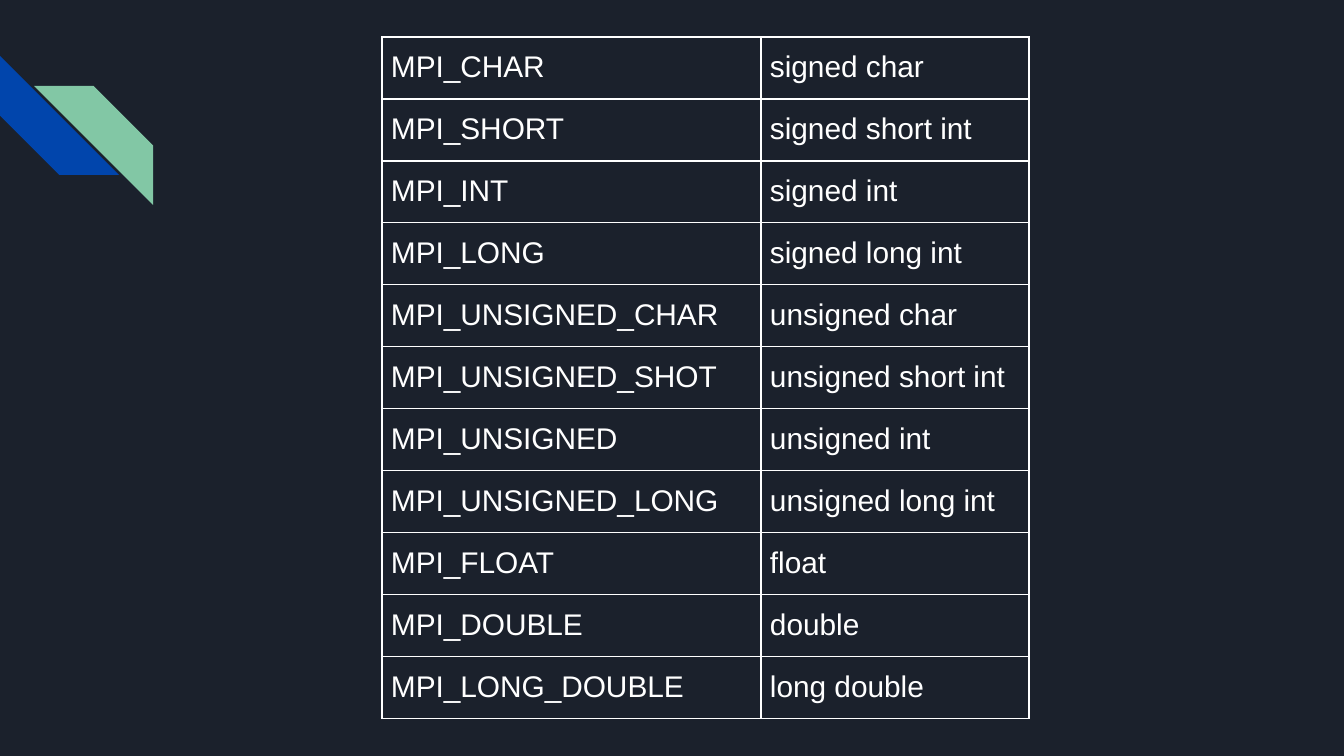
from pptx import Presentation
from pptx import util as u
from pptx.dml.color import RGBColor
from pptx.enum import shapes
from pptx.oxml import parse_xml
from pptx.oxml.ns import nsdecls

PX = 914400 / 134.4
COLORS = {"background": "1B212C", "blue": "0145AC", "green": "82C7A5", "white": "FFFFFF"}
MPI_TYPES = [
    ("MPI_CHAR", "signed char"),
    ("MPI_SHORT", "signed short int"),
    ("MPI_INT", "signed int"),
    ("MPI_LONG", "signed long int"),
    ("MPI_UNSIGNED_CHAR", "unsigned char"),
    ("MPI_UNSIGNED_SHOT", "unsigned short int"),
    ("MPI_UNSIGNED", "unsigned int"),
    ("MPI_UNSIGNED_LONG", "unsigned long int"),
    ("MPI_FLOAT", "float"),
    ("MPI_DOUBLE", "double"),
    ("MPI_LONG_DOUBLE", "long double"),
]


def px(length):
    return u.Emu(round(length * PX))


def color(name):
    return RGBColor.from_string(COLORS[name])


class SlideBuilder:
    font_name = "Arial"
    font_size = u.Pt(16)
    line_spacing = 1.15
    cell_inset = 9
    border_width = u.Pt(0.75)

    def __init__(self, slide):
        self.slide = slide

    def background(self, fill):
        self.slide.background.fill.solid()
        self.slide.background.fill.fore_color.rgb = color(fill)

    def stripe(self, left, top, size, rotation, fill):
        stripe = self.slide.shapes.add_shape(
            shapes.MSO_SHAPE.DIAGONAL_STRIPE, px(left), px(top), px(size), px(size))
        stripe.adjustments[0] = 0.5
        stripe.rotation = rotation
        stripe.shadow.inherit = False
        stripe.fill.solid()
        stripe.fill.fore_color.rgb = color(fill)
        stripe.line.fill.background()

    def table(self, left, top, widths, row_height, rows):
        table = self.slide.shapes.add_table(
            len(rows), len(widths), px(left), px(top),
            px(sum(widths)), px(row_height * len(rows))).table
        table.first_row = False
        table.horz_banding = False
        for column, width in zip(table.columns, widths):
            column.width = px(width)
        for row, values in zip(table.rows, rows):
            row.height = px(row_height)
            for cell, value in zip(row.cells, values):
                self.cell(cell, value)

    def cell(self, cell, value):
        inset = px(self.cell_inset)
        cell.margin_left = cell.margin_right = inset
        cell.margin_top = cell.margin_bottom = inset
        cell.text_frame.text = value
        paragraph = cell.text_frame.paragraphs[0]
        paragraph.line_spacing = self.line_spacing
        font = paragraph.runs[0].font
        font.name = self.font_name
        font.size = self.font_size
        font.color.rgb = color("white")
        self.borders(cell)
        cell.fill.background()

    def borders(self, cell):
        properties = cell._tc.get_or_add_tcPr()
        for side in ("lnL", "lnR", "lnT", "lnB"):
            properties.append(parse_xml(
                f'<a:{side} {nsdecls("a")} w="{self.border_width}"><a:solidFill>'
                f'<a:srgbClr val="{COLORS["white"]}"/></a:solidFill></a:{side}>'))


def main():
    presentation = Presentation()
    presentation.slide_width = px(1344)
    presentation.slide_height = px(756)
    builder = SlideBuilder(presentation.slides.add_slide(presentation.slide_layouts[6]))
    builder.background("background")
    builder.stripe(0, 56, 119, 270, "blue")
    builder.stripe(34, 86, 119, 90, "green")
    builder.table(382, 37, (379, 268), 62, MPI_TYPES)
    presentation.save("out.pptx")


if __name__ == "__main__":
    main()
